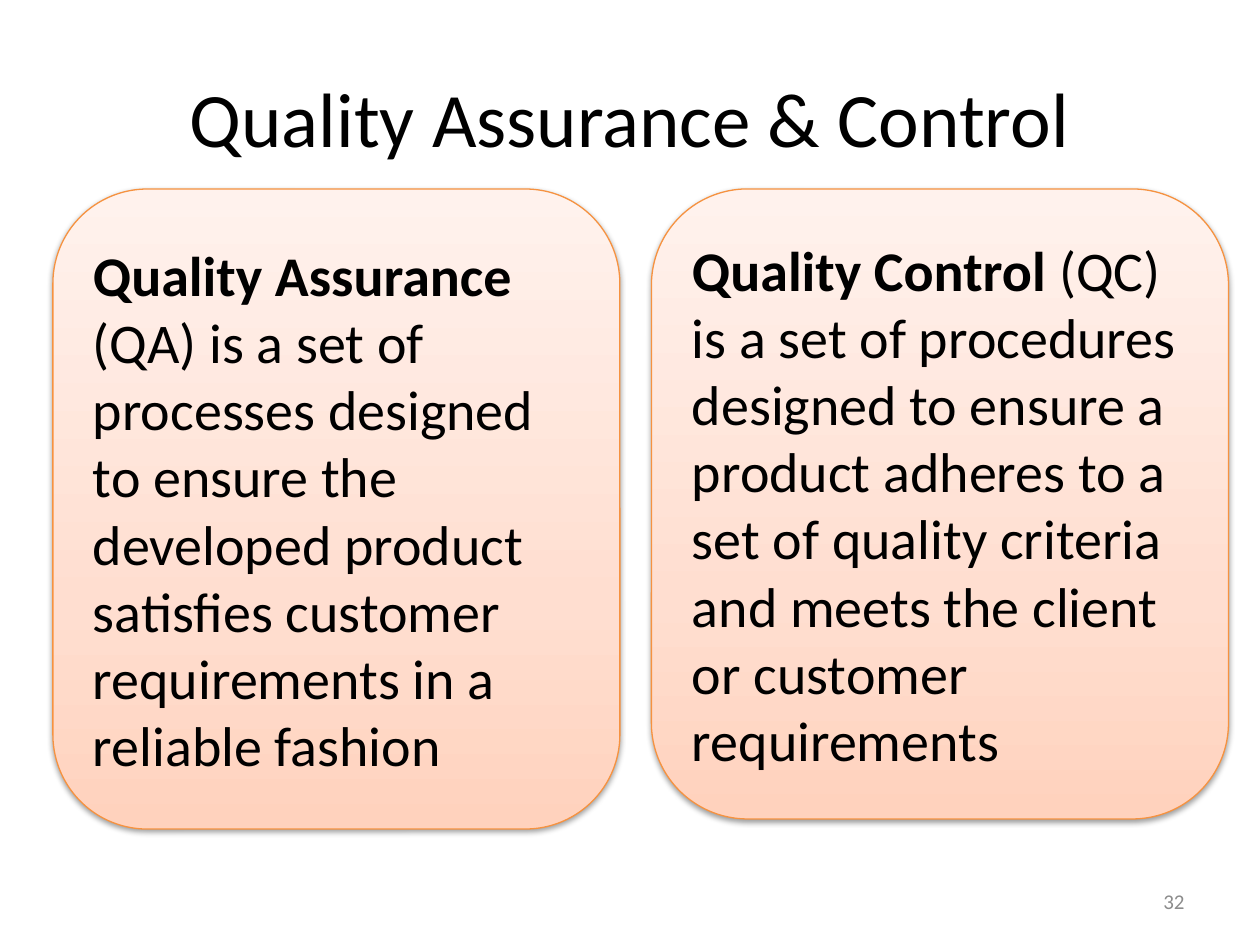
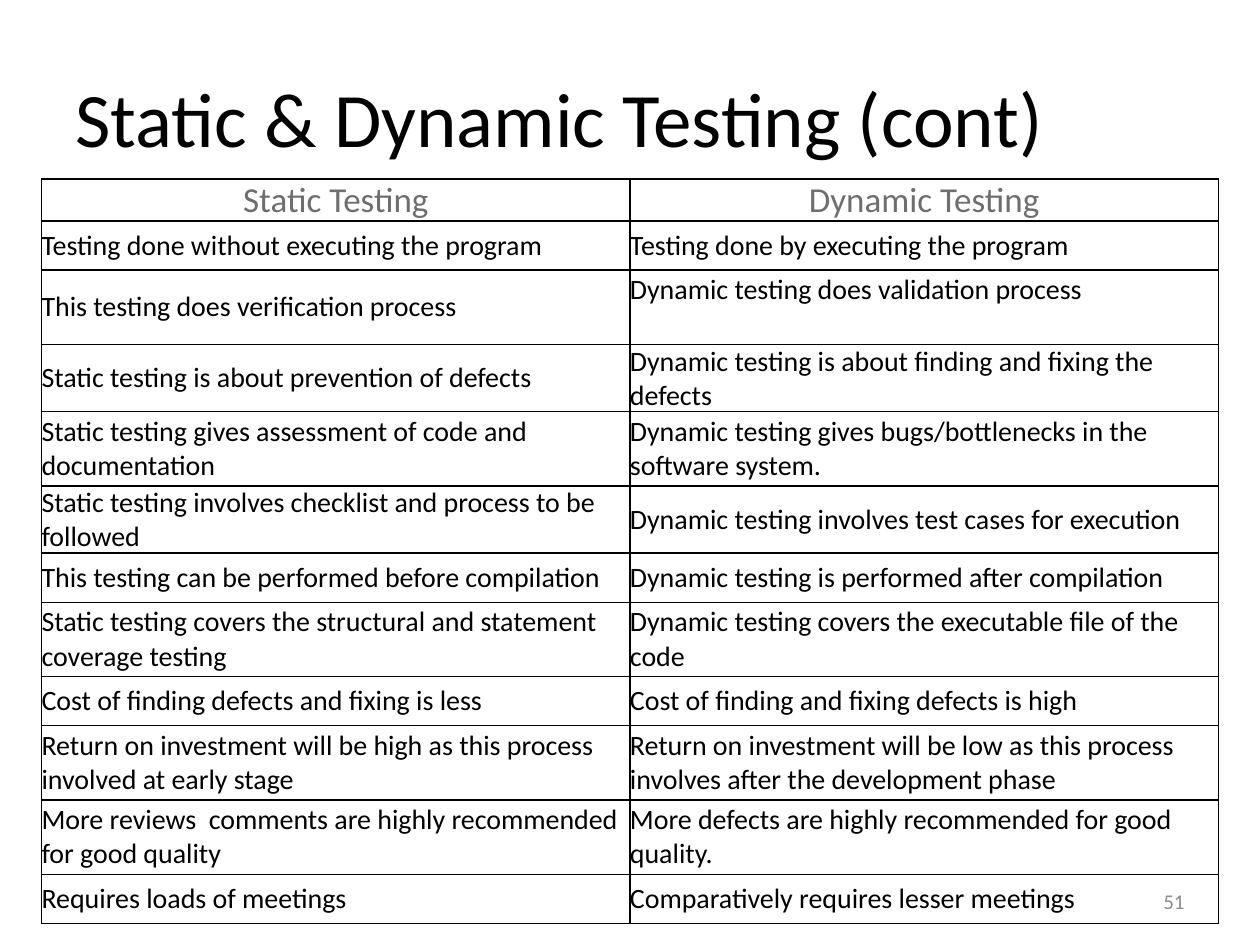
"""Build two slides on software quality and testing."""
from copy import deepcopy

from lxml import etree
from pptx import Presentation
from pptx.dml.color import RGBColor
from pptx.enum import shapes, text
from pptx.oxml import parse_xml
from pptx.oxml.ns import nsdecls, qn
from pptx.util import Inches, Pt

BLACK = RGBColor(0, 0, 0)
GREY = RGBColor(0x8C, 0x8C, 0x8C)
HEAD = RGBColor(0x6E, 0x6E, 0x6E)
EDGE = RGBColor(0xF6, 0x92, 0x40)
BLEND = [
    (0, RGBColor(0xFF, 0xD2, 0xBD)),
    (0.35, RGBColor(0xFF, 0xDE, 0xD0)),
    (1, RGBColor(0xFF, 0xF2, 0xED)),
]
LEFT, MID, RIGHT = text.PP_ALIGN.LEFT, text.PP_ALIGN.CENTER, text.PP_ALIGN.RIGHT


def style(frame, size, color, align):
    frame.word_wrap = True
    for para in frame.paragraphs:
        para.alignment = align
        for run in para.runs:
            run.font.name = "Calibri"
            run.font.size = Pt(size)
            run.font.color.rgb = color


def label(slide, words, area, size, color, align):
    box = slide.shapes.add_textbox(*[Inches(n) for n in area])
    box.text_frame.text = words
    box.text_frame.vertical_anchor = text.MSO_ANCHOR.MIDDLE
    style(box.text_frame, size, color, align)


prs = Presentation()
prs.slide_width, prs.slide_height = Inches(10), Inches(7.5)

pages = []
for title, align, number in [
    ("Quality Assurance & Control", MID, "32"),
    ("Static & Dynamic Testing (cont)", LEFT, "51"),
]:
    slide = prs.slides.add_slide(prs.slide_layouts[6])
    label(slide, title, (0.5, 0.3, 9, 1.25), 44, BLACK, align)
    label(slide, number, (7.17, 6.95, 2.33, 0.4), 12, GREY, RIGHT)
    pages.append(slide)

cards = [
    (0.42, 4.5, 5.08, "Quality Assurance ",
     "(QA) is a set of processes designed to ensure the developed product "
     "satisfies customer requirements in a reliable fashion"),
    (5.17, 4.58, 5, "Quality Control ",
     "(QC) is a set of procedures designed to ensure a product adheres to a "
     "set of quality criteria and meets the client or customer requirements"),
]
for left, width, height, term, meaning in cards:
    card = pages[0].shapes.add_shape(
        shapes.MSO_SHAPE.ROUNDED_RECTANGLE,
        Inches(left), Inches(1.5), Inches(width), Inches(height))
    card.fill.gradient()
    card.fill.gradient_angle = 90
    stops = card.fill._xPr.find(qn("a:gradFill")).find(qn("a:gsLst"))
    stops.append(deepcopy(stops[0]))
    for stop, (place, color) in zip(card.fill.gradient_stops, BLEND):
        stop.position = place
        stop.color.rgb = color
    card.line.color.rgb = EDGE
    card.line.width = Pt(0.75)
    card.shadow.inherit = False
    effects = card.fill._xPr.find(qn("a:effectLst"))
    effects.append(parse_xml(
        f'<a:outerShdw {nsdecls("a")} blurRad="{Pt(3.1)}" dist="{Pt(1.6)}" '
        'dir="5400000" rotWithShape="0"><a:srgbClr val="000000">'
        '<a:alpha val="38000"/></a:srgbClr></a:outerShdw>'))
    frame = card.text_frame
    frame.vertical_anchor = text.MSO_ANCHOR.MIDDLE
    for words in (term, meaning):
        run = frame.paragraphs[0].add_run()
        run.text = words
        run.font.bold = words == term
    style(frame, 32, BLACK, LEFT)

rows = [
    (0.21, "Static Testing", "Dynamic Testing"),
    (0.39, "Testing done without executing the program",
     "Testing done by executing the program"),
    (0.59, "This testing does verification process",
     "Dynamic testing does validation process"),
    (0.39, "Static testing is about prevention of defects",
     "Dynamic testing is about finding and fixing the defects"),
    (0.59, "Static testing gives assessment of code and documentation",
     "Dynamic testing gives bugs/bottlenecks in the software system."),
    (0.39, "Static testing involves checklist and process to be followed",
     "Dynamic testing involves test cases for execution"),
    (0.39, "This testing can be performed before compilation",
     "Dynamic testing is performed after compilation"),
    (0.59, "Static testing covers the structural and statement coverage testing",
     "Dynamic testing covers the executable file of the code"),
    (0.39, "Cost of finding defects and fixing is less",
     "Cost of finding and fixing defects is high"),
    (0.59, "Return on investment will be high as this process involved at early stage",
     "Return on investment will be low as this process involves after the "
     "development phase"),
    (0.59, "More reviews  comments are highly recommended for good quality",
     "More defects are highly recommended for good quality."),
    (0.39, "Requires loads of meetings", "Comparatively requires lesser meetings"),
]
table = pages[1].shapes.add_table(
    len(rows), 2, Inches(0.33), Inches(1.42), Inches(9.33), Inches(5.5)).table
table.first_row = table.horz_banding = False
for col in table.columns:
    col.width = Inches(4.67)
for r, (height, *pair) in enumerate(rows):
    table.rows[r].height = Inches(height)
    for c, words in enumerate(pair):
        cell = table.cell(r, c)
        cell.text = words
        cell.vertical_anchor = text.MSO_ANCHOR.MIDDLE
        cell.margin_left = cell.margin_right = 0
        cell.margin_top = cell.margin_bottom = 0
        if r == 0:
            style(cell.text_frame, 20, HEAD, MID)
        else:
            style(cell.text_frame, 16, BLACK, LEFT)
        props = cell._tc.get_or_add_tcPr()
        for side in ("lnL", "lnR", "lnT", "lnB"):
            line = etree.SubElement(props, qn(f"a:{side}"), w=str(Pt(1)))
            fill = etree.SubElement(line, qn("a:solidFill"))
            etree.SubElement(fill, qn("a:srgbClr"), val=str(BLACK))
        cell.fill.background()
table.cell(2, 1).margin_bottom = Inches(0.27)

prs.save("out.pptx")
